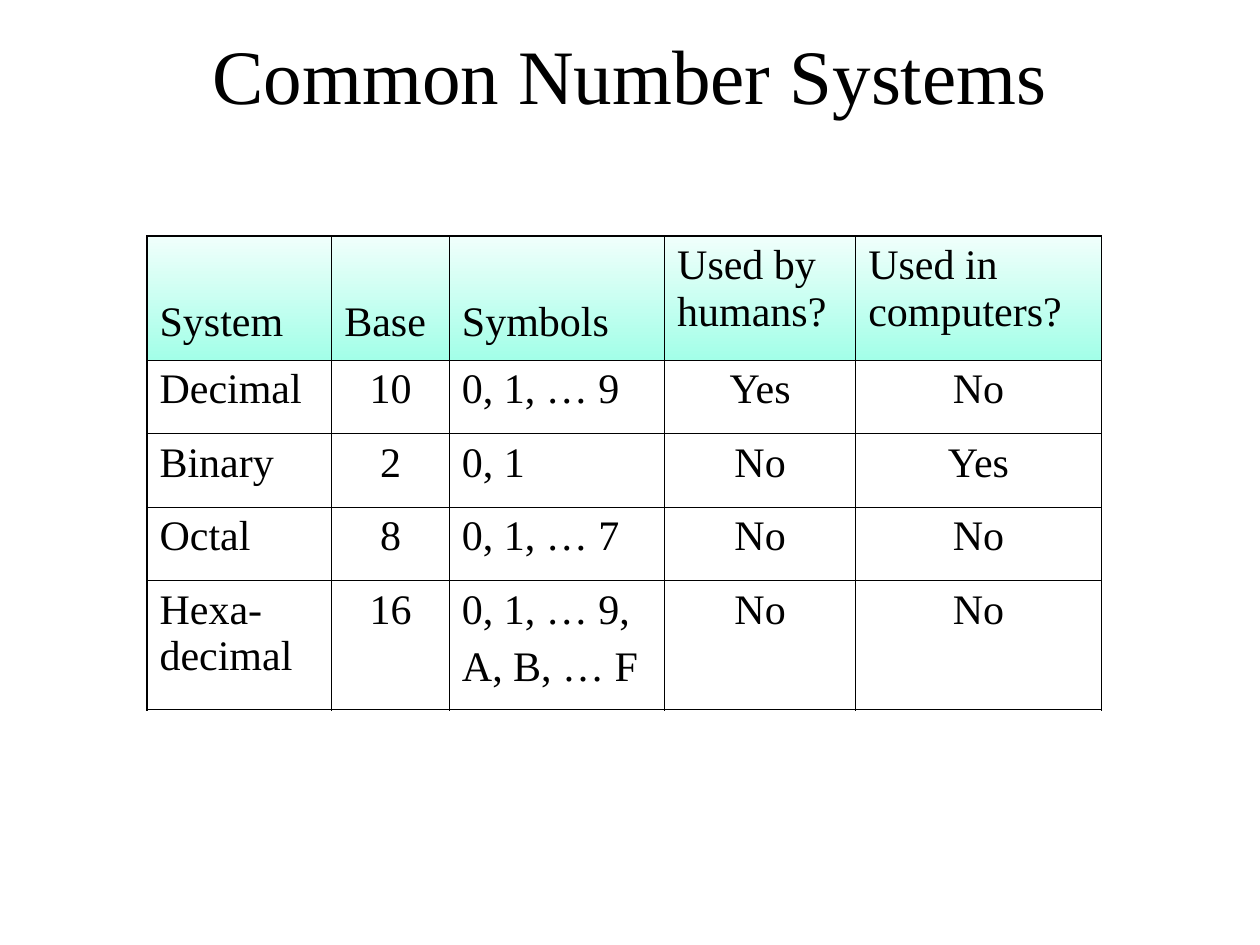
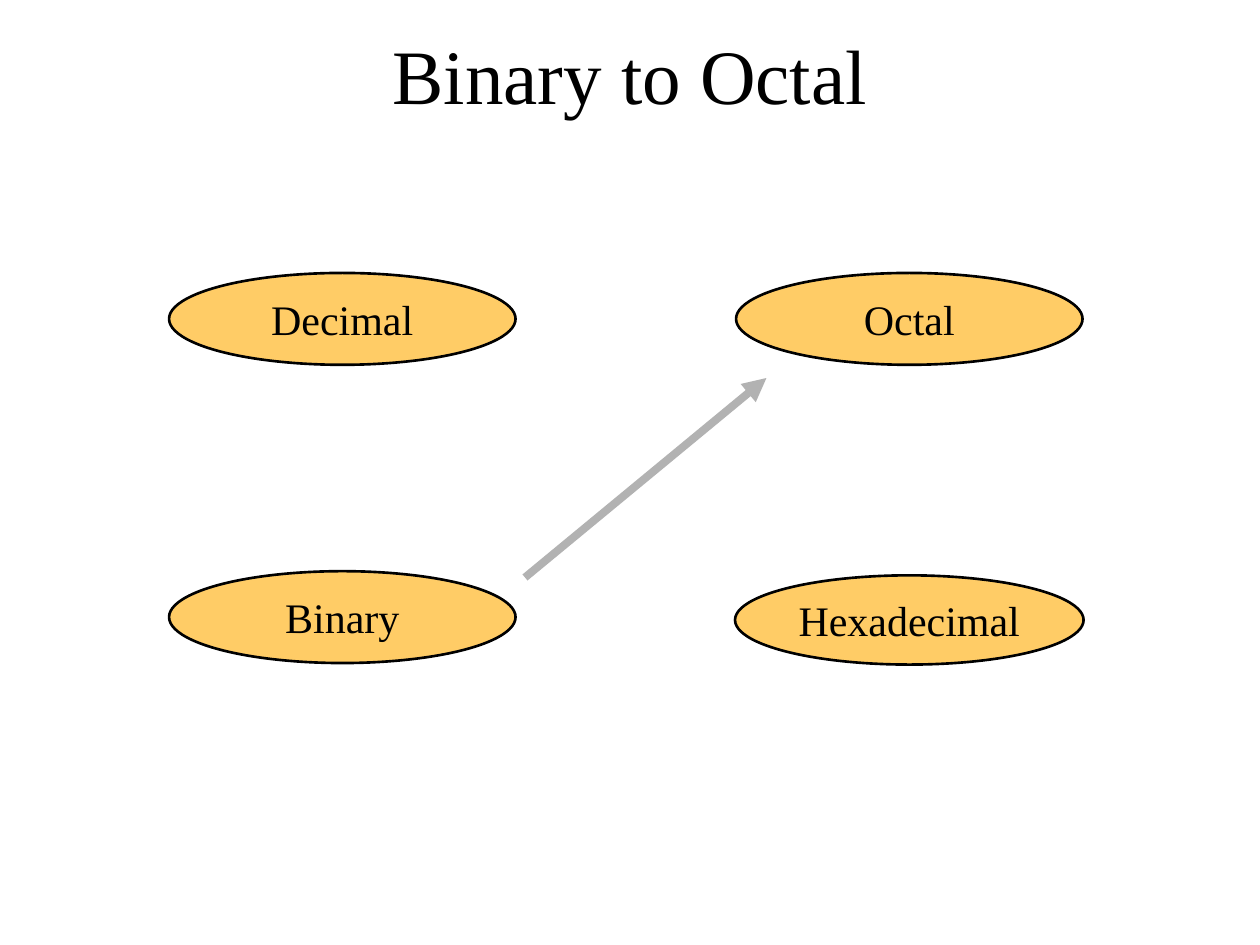
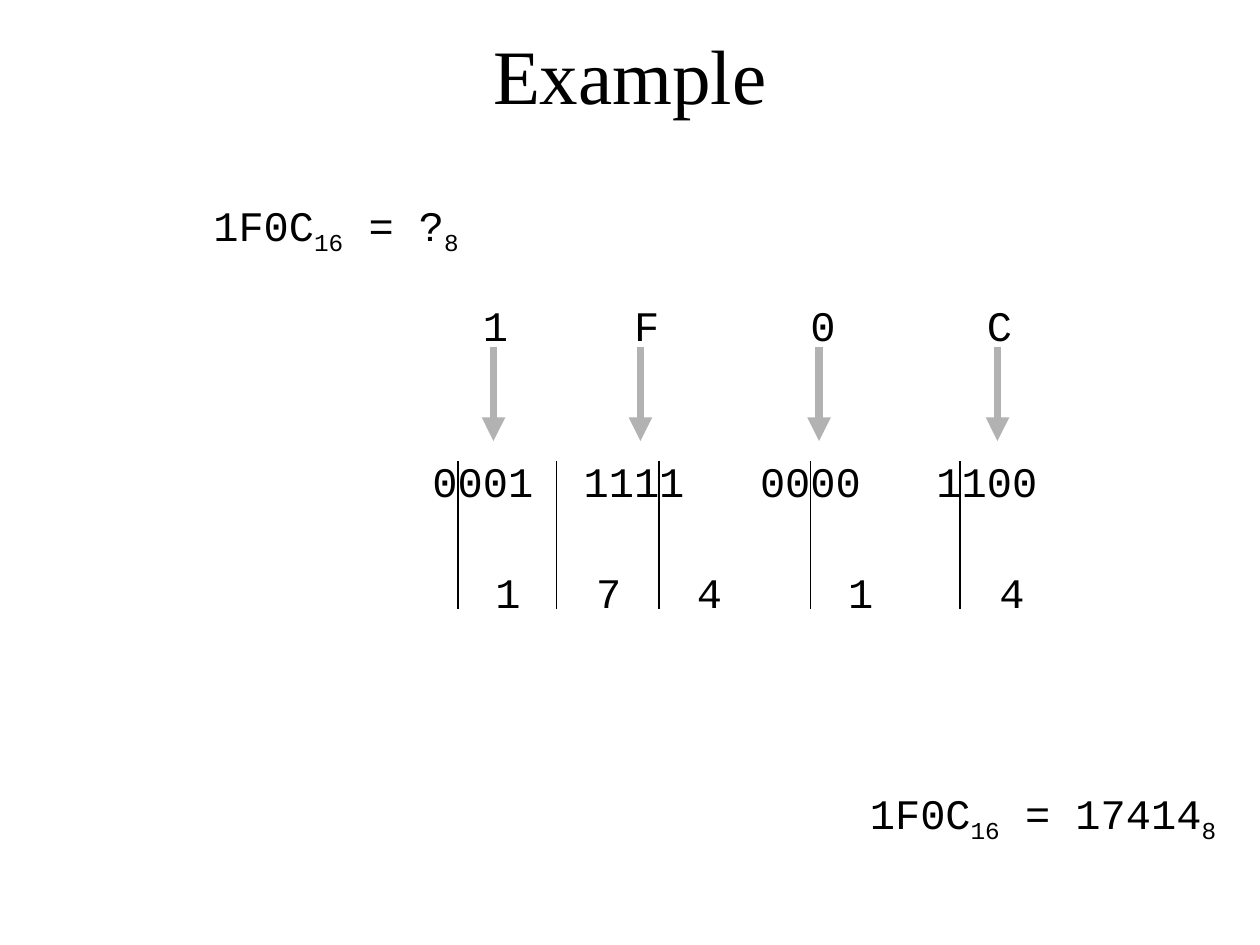
"""Build three slides on number systems and converting between their bases."""

from dataclasses import dataclass
from typing import Optional

from lxml.etree import SubElement
from pptx import Presentation
from pptx.dml.color import RGBColor
from pptx.enum.shapes import MSO_CONNECTOR, MSO_SHAPE
from pptx.enum.text import MSO_ANCHOR, MSO_AUTO_SIZE, PP_ALIGN
from pptx.oxml import parse_xml
from pptx.oxml.ns import nsdecls, qn
from pptx.util import Inches, Pt


@dataclass(frozen=True)
class Theme:
    """Colours, fonts and type sizes of the deck."""

    ink: str = "000000"
    ellipse: str = "FFCC66"
    arrow: str = "B2B2B2"
    header_top: str = "F0FFFB"
    header_bottom: str = "A3FFE8"
    serif: str = "Times New Roman"
    mono: str = "Courier New"
    title_size: int = 44
    text_size: int = 24
    arrow_width: float = 4.5
    bar_width: float = 1
    ellipse_line: float = 1.5
    inner_border: float = 0.45
    outer_border: float = 1.08


@dataclass(frozen=True)
class Area:
    """A rectangle in grid cells."""

    left: float
    top: float
    width: float
    height: float

    def place(self) -> tuple[int, int, int, int]:
        """Return the rectangle in slide lengths."""
        return cells(self.left), cells(self.top), cells(self.width), cells(self.height)


@dataclass(frozen=True)
class Stroke:
    """A straight line between two grid points."""

    start: tuple[float, float]
    end: tuple[float, float]
    color: str
    width: float
    arrowhead: bool = False


@dataclass(frozen=True)
class DigitRow:
    """Digits separated by tabs, with the character column of each tab stop."""

    text: str
    stops: tuple[int, ...]


@dataclass(frozen=True)
class NumberSystem:
    """An ellipse that names a number system."""

    name: str
    area: Area


THEME = Theme()
CELLS_PER_INCH = 12
CHARACTER_CELLS = 2.4

TITLE_AREA = Area(9, 2, 102, 10)

TABLE_AREA = Area(14, 22.5, 90.9, 45.1)
COLUMN_WIDTHS = (17.6, 11.2, 20.5, 18.2, 23.4)
ROW_HEIGHTS = (11.8, 7, 7, 7, 12.3)
CENTERED_COLUMNS = (1, 3, 4)
LOWERED_HEADINGS = 3
TABLE_ROWS = (
    ("System", "Base", "Symbols", "Used by humans?", "Used in computers?"),
    ("Decimal", "10", "0, 1, … 9", "Yes", "No"),
    ("Binary", "2", "0, 1", "No", "Yes"),
    ("Octal", "8", "0, 1, … 7", "No", "No"),
    ("Hexa-\vdecimal", "16", "0, 1, … 9,\nA, B, … F", "No", "No"),
)

SYSTEMS = (
    NumberSystem("Hexadecimal", Area(70, 54.8, 33.2, 8.5)),
    NumberSystem("Decimal", Area(16.1, 26, 33, 8.75)),
    NumberSystem("Octal", Area(70.1, 26, 33, 8.75)),
    NumberSystem("Binary", Area(16.1, 54.4, 33, 8.75)),
)
CONVERSION = Stroke((50, 55), (73, 36), THEME.arrow, THEME.arrow_width, True)

HEX_TO_BINARY = (
    DigitRow("\t1\tF\t0\tC", (2, 8, 15, 22)),
    DigitRow("0001\t1111\t0000\t1100", (6, 13, 20)),
)
OCTAL = (DigitRow("1\t7\t4\t1\t4", (4, 8, 14, 20)),)
DIGIT_ARROWS = tuple(
    Stroke((x, 33), (x, 42), THEME.arrow, THEME.arrow_width, True)
    for x in (47, 61, 78, 95)
)
GROUP_BARS = tuple(
    Stroke((x, 43.9), (x, 58), THEME.ink, THEME.bar_width)
    for x in (43.65, 53, 62.8, 77.2, 91.45)
)


def cells(count: float) -> int:
    """Convert grid cells to a slide length."""
    return Inches(count / CELLS_PER_INCH)


def style_font(font, name: str = THEME.serif, size: int = THEME.text_size) -> None:
    """Give a font its face, size and the ink colour."""
    font.name = name
    font.size = Pt(size)
    font.color.rgb = RGBColor.from_string(THEME.ink)


def style_frame(frame, align: Optional[PP_ALIGN] = None, name: str = THEME.serif,
                size: int = THEME.text_size, space: float = 0) -> None:
    """Format all runs of a text frame and space its later paragraphs."""
    for index, paragraph in enumerate(frame.paragraphs):
        paragraph.alignment = align
        if index and space:
            paragraph.space_before = Pt(space)
        for span in paragraph.runs:
            style_font(span.font, name, size)


def add_page(deck, title: str):
    """Add a page with its title."""
    page = deck.slides.add_slide(deck.slide_layouts.get_by_name("Title Only"))
    frame = page.shapes.title.text_frame
    frame.text = title
    frame.auto_size = MSO_AUTO_SIZE.NONE
    frame.vertical_anchor = MSO_ANCHOR.MIDDLE
    style_frame(frame, PP_ALIGN.CENTER, size=THEME.title_size)
    return page


def add_stroke(shapes, stroke: Stroke) -> None:
    """Draw a straight line, with an arrowhead if it asks for one."""
    points = [cells(value) for value in stroke.start + stroke.end]
    connector = shapes.add_connector(MSO_CONNECTOR.STRAIGHT, *points)
    connector.line.color.rgb = RGBColor.from_string(stroke.color)
    connector.line.width = Pt(stroke.width)
    properties = connector.element.spPr
    if stroke.arrowhead:
        SubElement(properties.find(qn("a:ln")), qn("a:tailEnd"), type="triangle")
    SubElement(properties, qn("a:effectLst"))


def add_text_area(shapes, area: Area):
    """Add a wrapping text box and return its text frame."""
    frame = shapes.add_textbox(*area.place()).text_frame
    frame.word_wrap = True
    frame.margin_top = Inches(0.08)
    return frame


def add_digit_rows(shapes, area: Area, rows: tuple[DigitRow, ...]) -> None:
    """Write rows of digits aligned on character columns."""
    frame = add_text_area(shapes, area)
    frame.text = "\n".join(row.text for row in rows)
    for paragraph, row in zip(frame.paragraphs, rows):
        tabs = SubElement(paragraph._p.get_or_add_pPr(), qn("a:tabLst"))
        for stop in row.stops:
            SubElement(tabs, qn("a:tab"), pos=str(cells(stop * CHARACTER_CELLS)), algn="l")
    style_frame(frame, name=THEME.mono, space=60)


def add_equation(shapes, area: Area, result: str, align: PP_ALIGN) -> None:
    """Write the hexadecimal number and its octal value with their bases lowered."""
    paragraph = add_text_area(shapes, area).paragraphs[0]
    paragraph.alignment = align
    for text, lowered in (("1F0C", False), ("16", True), (f" = {result}", False), ("8", True)):
        span = paragraph.add_run()
        span.text = text
        style_font(span.font, THEME.mono)
        if lowered:
            span._r.get_or_add_rPr().set("baseline", "-25000")


def add_ellipse(shapes, system: NumberSystem) -> None:
    """Draw the ellipse of a number system."""
    ellipse = shapes.add_shape(MSO_SHAPE.OVAL, *system.area.place())
    ellipse.shadow.inherit = False
    ellipse.fill.solid()
    ellipse.fill.fore_color.rgb = RGBColor.from_string(THEME.ellipse)
    ellipse.line.color.rgb = RGBColor.from_string(THEME.ink)
    ellipse.line.width = Pt(THEME.ellipse_line)
    frame = ellipse.text_frame
    frame.text = system.name
    frame.word_wrap = False
    frame.vertical_anchor = MSO_ANCHOR.MIDDLE
    style_frame(frame, PP_ALIGN.CENTER)


def set_borders(cell, row: int, column: int) -> None:
    """Rule a cell, with heavier lines on the outside of the table."""
    outer_sides = {
        "lnL": column == 0,
        "lnR": column == len(COLUMN_WIDTHS) - 1,
        "lnT": row == 0,
        "lnB": row == len(ROW_HEIGHTS) - 1,
    }
    properties = cell._tc.get_or_add_tcPr()
    for index, (side, outer) in enumerate(outer_sides.items()):
        width = Pt(THEME.outer_border if outer else THEME.inner_border)
        properties.insert(index, parse_xml(
            f'<a:{side} {nsdecls("a")} w="{width}"><a:solidFill>'
            f'<a:srgbClr val="{THEME.ink}"/></a:solidFill></a:{side}>'
        ))


def fill_header(cell) -> None:
    """Shade a heading cell from top to bottom."""
    cell.fill.gradient()
    cell.fill.gradient_angle = 270
    colors = (THEME.header_top, THEME.header_bottom)
    for position, (stop, color) in enumerate(zip(cell.fill.gradient_stops, colors)):
        stop.position = position
        stop.color.rgb = RGBColor.from_string(color)


def add_systems_table(shapes) -> None:
    """Add the table that compares the number systems."""
    table = shapes.add_table(
        len(ROW_HEIGHTS), len(COLUMN_WIDTHS), *TABLE_AREA.place()
    ).table
    table.first_row = table.horz_banding = False
    for column, width in zip(table.columns, COLUMN_WIDTHS):
        column.width = cells(width)
    for row, height in zip(table.rows, ROW_HEIGHTS):
        row.height = cells(height)
    for row, texts in enumerate(TABLE_ROWS):
        for column, text in enumerate(texts):
            cell = table.cell(row, column)
            cell.text_frame.text = text
            centered = row > 0 and column in CENTERED_COLUMNS
            style_frame(cell.text_frame, PP_ALIGN.CENTER if centered else None, space=6)
            if row == 0:
                fill_header(cell)
                if column < LOWERED_HEADINGS:
                    cell.margin_top = cells(6)
            else:
                cell.fill.background()
            set_borders(cell, row, column)


def build_systems(deck) -> None:
    """Build the page that compares the number systems."""
    add_systems_table(add_page(deck, "Common Number Systems").shapes)


def build_conversion(deck) -> None:
    """Build the page that shows the conversion from binary to octal."""
    page = add_page(deck, "Binary to Octal")
    for system in SYSTEMS:
        add_ellipse(page.shapes, system)
    add_stroke(page.shapes, CONVERSION)


def build_example(deck) -> None:
    """Build the worked example."""
    page = add_page(deck, "Example")
    add_equation(page.shapes, Area(4, 18, 56, 6.7), "?", PP_ALIGN.CENTER)
    steps = (
        (Area(40, 27.6, 64, 36.6), HEX_TO_BINARY, DIGIT_ARROWS),
        (Area(46, 53, 55.4, 6), OCTAL, GROUP_BARS),
    )
    for area, rows, strokes in steps:
        group = page.shapes.add_group_shape()
        add_digit_rows(group.shapes, area, rows)
        for stroke in strokes:
            add_stroke(group.shapes, stroke)
    add_equation(page.shapes, Area(61, 74, 56, 6.7), "17414", PP_ALIGN.RIGHT)


def main() -> None:
    """Build and save the deck."""
    deck = Presentation()
    deck.slide_width, deck.slide_height = Inches(10), Inches(7.5)
    title = deck.slide_layouts.get_by_name("Title Only").placeholders[0]
    title.left, title.top, title.width, title.height = TITLE_AREA.place()
    for build in (build_systems, build_conversion, build_example):
        build(deck)
    deck.save("out.pptx")


if __name__ == "__main__":
    main()
